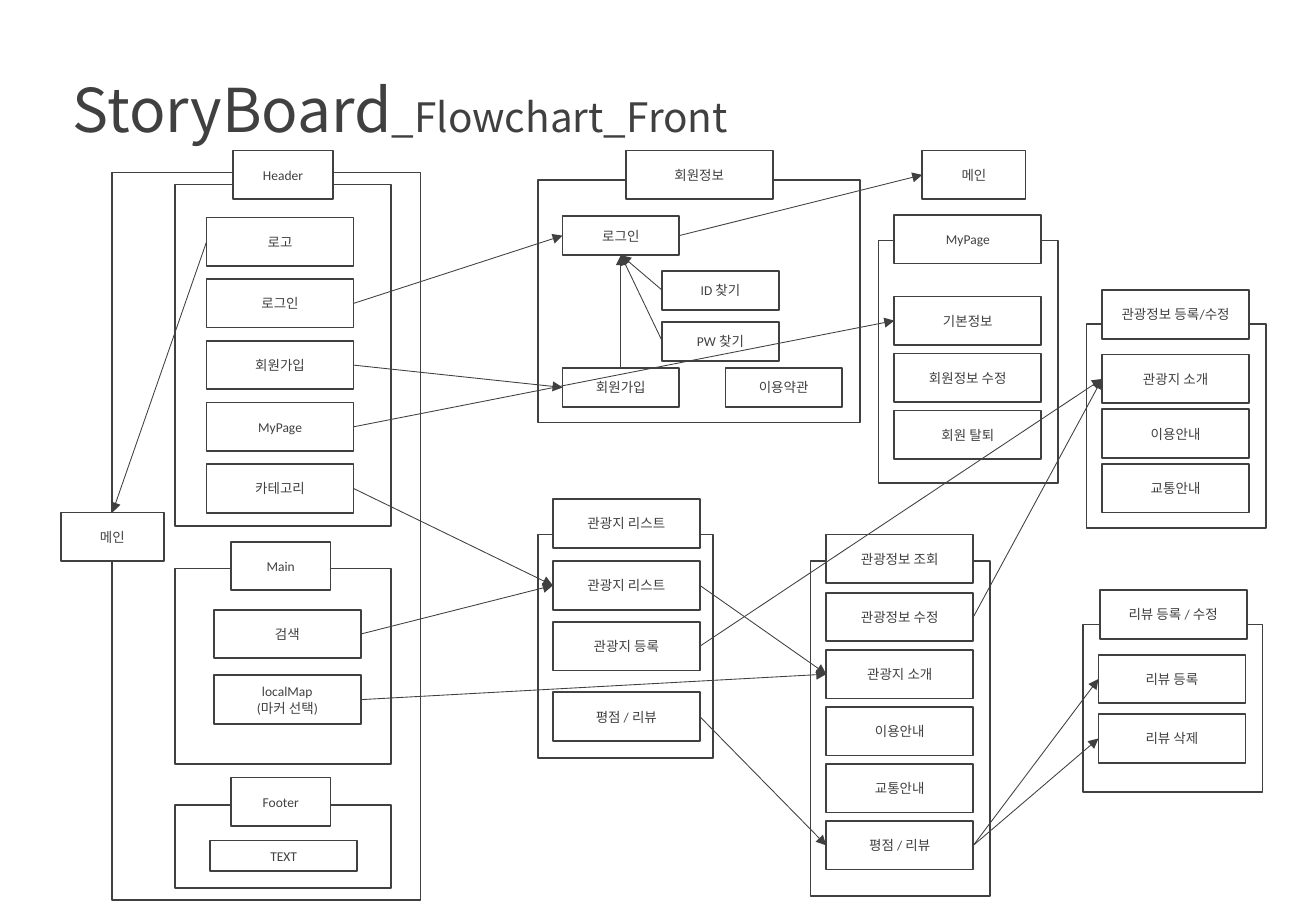
from lxml import etree
from pptx import Presentation
from pptx.dml.color import RGBColor
from pptx.enum.shapes import MSO_CONNECTOR, MSO_SHAPE
from pptx.enum.text import MSO_ANCHOR, MSO_AUTO_SIZE, PP_ALIGN
from pptx.oxml.ns import qn
from pptx.util import Inches, Pt

RECTANGLE = MSO_SHAPE.RECTANGLE
STRAIGHT = MSO_CONNECTOR.STRAIGHT
TOP, MIDDLE = MSO_ANCHOR.TOP, MSO_ANCHOR.MIDDLE
LEFT, CENTER = PP_ALIGN.LEFT, PP_ALIGN.CENTER
NO_AUTOSIZE = MSO_AUTO_SIZE.NONE

COLORS = {"ink": "404040", "paper": "FFFFFF"}
TITLE_FONT, LABEL_FONT = "Noto Sans CJK KR", "Calibri"

# Connection sites of a rectangle
SITE = {"top": 0, "left": 1, "bottom": 2, "right": 3}

WIDE = (1.21, 0.4)
SHORT = (0.82, 0.4)
PAGE = (0.85, 0.4)
MEMBER = (0.96, 0.32)

SITE_FRAME = (0.92, 1.42, 2.54, 5.99)

# Each panel: frame, heading (label, left, top, size),
# column of steps (left, first top, pitch, size, labels)
PANELS = {
    "header": ((1.44, 1.52, 1.78, 2.81), ("Header", 1.92, 1.24, SHORT),
               (1.7, 1.79, 0.508, WIDE, ["로고", "로그인", "회원가입", "MyPage", "카테고리"])),
    "main": ((1.44, 4.68, 1.78, 1.61), ("Main", 1.9, 4.46, SHORT),
             (1.76, 5.02, 0.54, WIDE, ["검색", "localMap\n(마커 선택)"])),
    "footer": ((1.44, 6.63, 1.78, 0.68), ("Footer", 1.9, 6.4, SHORT),
               (1.73, 6.92, 0, (1.21, 0.25), ["TEXT"])),
    "member": ((4.43, 1.48, 2.65, 2), ("회원정보", 5.15, 1.24, WIDE),
               (4.63, 1.78, 1.25, MEMBER, ["로그인", "회원가입"])),
    "mypage": ((7.23, 1.98, 1.48, 2), ("MyPage", 7.36, 1.77, WIDE),
               (7.36, 2.44, 0.47, WIDE, ["기본정보", "회원정보 수정", "회원 탈퇴"])),
    "list": ((4.43, 4.4, 1.44, 1.84), ("관광지 리스트", 4.55, 4.11, WIDE),
             (4.55, 4.62, 0.5, WIDE, ["관광지 리스트", "관광지 등록"])),
    "view": ((6.67, 4.62, 1.48, 2.76), ("관광정보 조회", 6.8, 4.4, WIDE),
             (6.8, 4.88, 0.47, WIDE,
              ["관광정보 수정", "관광지 소개", "이용안내", "교통안내", "평점 / 리뷰"])),
    "edit": ((8.94, 2.67, 1.48, 1.68), ("관광정보 등록/수정", 9.07, 2.39, WIDE),
             (9.07, 2.92, 0.45, WIDE, ["관광지 소개", "이용안내", "교통안내"])),
    "review": ((8.91, 5.14, 1.48, 1.38), ("리뷰 등록 / 수정", 9.05, 4.86, WIDE),
               (9.04, 5.39, 0.49, WIDE, ["리뷰 등록", "리뷰 삭제"])),
}

# Boxes outside the columns: group, label, left, top, size
SINGLE_BOXES = [
    ("start", "메인", 0.5, 4.22, PAGE),
    ("home", "메인", 7.59, 1.24, PAGE),
    ("member", "ID 찾기", 5.45, 2.23, MEMBER),
    ("member", "PW 찾기", 5.45, 2.65, MEMBER),
    ("member", "이용약관", 5.97, 3.03, MEMBER),
    ("list", "평점 / 리뷰", 4.55, 5.7, WIDE),
]

# Arrows: from box, side, to box, side
ARROWS = [
    (("header", "로고"), "left", ("start", "메인"), "top"),
    (("header", "로그인"), "right", ("member", "로그인"), "left"),
    (("header", "회원가입"), "right", ("member", "회원가입"), "left"),
    (("header", "MyPage"), "right", ("mypage", "기본정보"), "left"),
    (("header", "카테고리"), "right", ("list", "관광지 리스트"), "left"),
    (("main", "검색"), "right", ("list", "관광지 리스트"), "left"),
    (("main", "localMap\n(마커 선택)"), "right", ("view", "관광지 소개"), "left"),
    (("member", "로그인"), "right", ("home", "메인"), "left"),
    (("member", "ID 찾기"), "left", ("member", "로그인"), "bottom"),
    (("member", "PW 찾기"), "left", ("member", "로그인"), "bottom"),
    (("member", "회원가입"), "top", ("member", "로그인"), "bottom"),
    (("list", "관광지 리스트"), "right", ("view", "관광지 소개"), "left"),
    (("list", "관광지 등록"), "right", ("edit", "관광지 소개"), "left"),
    (("list", "평점 / 리뷰"), "right", ("view", "평점 / 리뷰"), "left"),
    (("view", "관광정보 수정"), "right", ("edit", "관광지 소개"), "left"),
    (("view", "평점 / 리뷰"), "right", ("review", "리뷰 등록"), "left"),
    (("view", "평점 / 리뷰"), "right", ("review", "리뷰 삭제"), "left"),
]


def color(name):
    return RGBColor.from_string(COLORS[name])


def apply_format(target, **values):
    for name, value in values.items():
        setattr(target, name, value)


def add_title(page):
    title = page.shapes.title
    apply_format(title, left=Inches(0.5), top=Inches(0.54),
                 width=Inches(5.86), height=Inches(0.7))
    frame = title.text_frame
    apply_format(frame, word_wrap=False, auto_size=NO_AUTOSIZE, vertical_anchor=MIDDLE)
    para = frame.paragraphs[0]
    para.alignment = LEFT
    for text, size in (("StoryBoard", 35.8), ("_Flowchart_Front", 24)):
        span = para.add_run()
        span.text = text
        apply_format(span.font, name=TITLE_FONT, size=Pt(size))
        span.font.color.rgb = color("ink")


def add_frame(page, left, top, width, height, filled=True):
    box = page.shapes.add_shape(RECTANGLE, *map(Inches, (left, top, width, height)))
    box.shadow.inherit = False
    if filled:
        box.fill.solid()
        box.fill.fore_color.rgb = color("paper")
    else:
        box.fill.background()
    box.line.color.rgb = color("ink")
    box.line.width = Pt(1)
    return box


def add_label_box(page, label, left, top, size):
    box = add_frame(page, left, top, *size)
    box.text_frame.text = label
    apply_format(box.text_frame, word_wrap=True, vertical_anchor=MIDDLE)
    for para in box.text_frame.paragraphs:
        para.alignment = CENTER
        apply_format(para.font, name=LABEL_FONT, size=Pt(8))
        para.font.color.rgb = color("ink")
    return box


def add_arrow(page, source, source_side, target, target_side):
    arrow = page.shapes.add_connector(STRAIGHT, 0, 0, 0, 0)
    arrow.begin_connect(source, SITE[source_side])
    arrow.end_connect(target, SITE[target_side])
    arrow.line.color.rgb = color("ink")
    arrow.line.width = Pt(0.5)
    etree.SubElement(arrow.line._get_or_add_ln(), qn("a:tailEnd"), type="triangle")
    etree.SubElement(arrow._element.spPr, qn("a:effectLst"))


def main():
    deck = Presentation()
    deck.slide_width, deck.slide_height = Inches(10.83), Inches(7.5)
    page = deck.slides.add_slide(deck.slide_layouts[5])
    add_title(page)

    # Panels with their headings and steps
    add_frame(page, *SITE_FRAME, filled=False)
    boxes = {}
    for group, (frame, heading, column) in PANELS.items():
        add_frame(page, *frame)
        add_label_box(page, *heading)
        left, first_top, pitch, size, labels = column
        for index, label in enumerate(labels):
            top = first_top + index * pitch
            boxes[group, label] = add_label_box(page, label, left, top, size)

    # Boxes outside the columns
    for group, label, left, top, size in SINGLE_BOXES:
        boxes[group, label] = add_label_box(page, label, left, top, size)

    # Arrows between boxes
    for source, source_side, target, target_side in ARROWS:
        add_arrow(page, boxes[source], source_side, boxes[target], target_side)

    deck.save("out.pptx")


if __name__ == "__main__":
    main()
